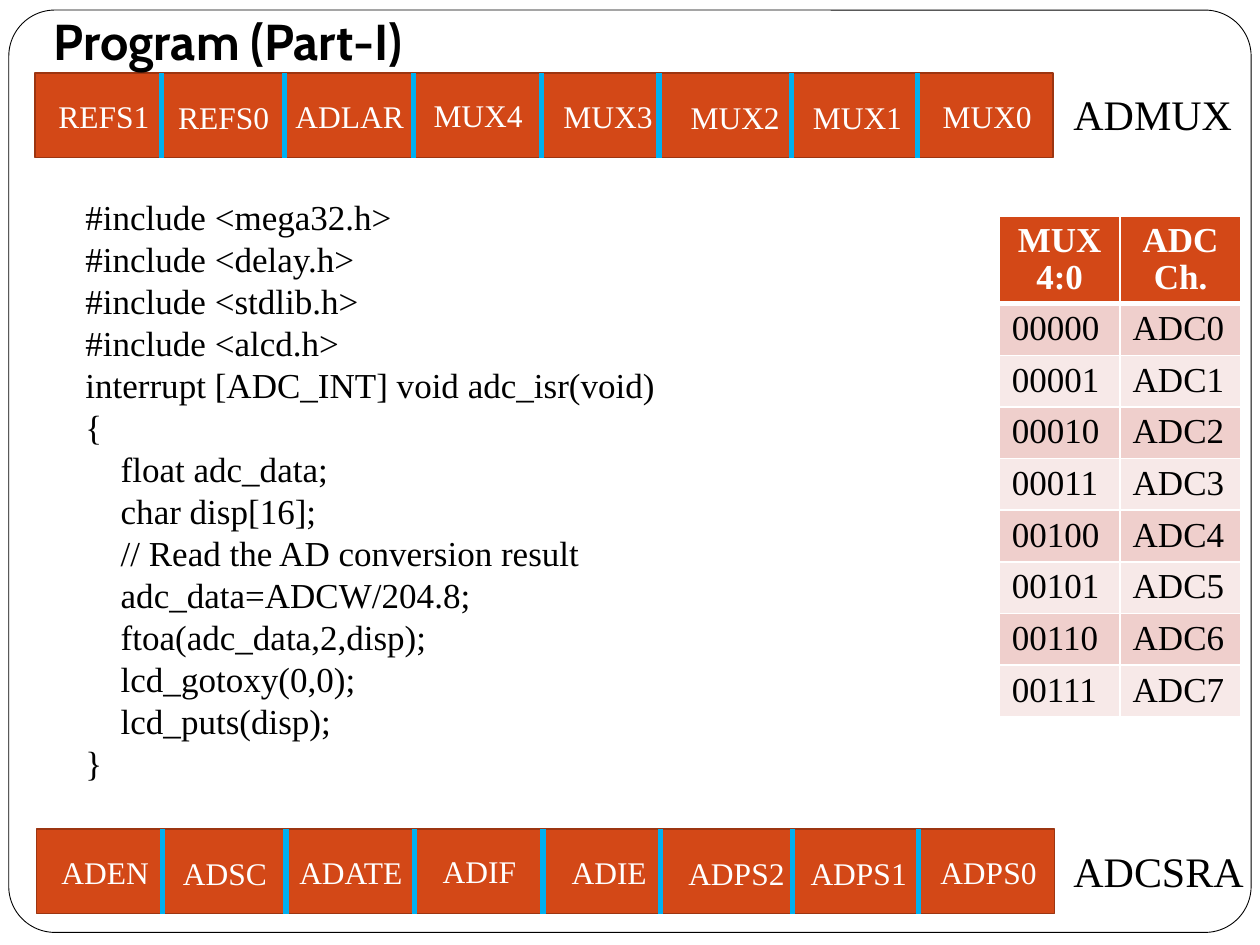
"""Builds the ADC program slide with its two register maps and channel table."""
from lxml import etree
from pptx import Presentation
from pptx.dml.color import RGBColor
from pptx.enum.shapes import MSO_CONNECTOR, MSO_SHAPE
from pptx.enum.text import MSO_ANCHOR, PP_ALIGN
from pptx.oxml import parse_xml
from pptx.oxml.ns import nsdecls, qn
from pptx.util import Inches, Pt

LEFT, CENTER = PP_ALIGN.LEFT, PP_ALIGN.CENTER
TOP, MIDDLE, BOTTOM = MSO_ANCHOR.TOP, MSO_ANCHOR.MIDDLE, MSO_ANCHOR.BOTTOM
RECT, ROUND = MSO_SHAPE.RECTANGLE, MSO_SHAPE.ROUNDED_RECTANGLE
STRAIGHT = MSO_CONNECTOR.STRAIGHT

THEME = {
    "white": RGBColor.from_string("FFFFFF"),
    "black": RGBColor.from_string("000000"),
    "bar": RGBColor.from_string("D34817"),
    "edge": RGBColor.from_string("9C3511"),
    "split": RGBColor.from_string("00B0F0"),
    "bands": [RGBColor.from_string("F7E9E8"), RGBColor.from_string("EFCFCC")],
    "serif": "Times New Roman",
    "sans": "Cabin",
    "title": 28.8, "name": 24, "body": 20, "bit": 18,
}


def write(para, text, size, color, align=LEFT, font=THEME["serif"], bold=False):
    para.alignment = align
    run = para.add_run()
    run.text = text
    run.font.name = font
    run.font.size = Pt(size)
    run.font.bold = bold
    run.font.color.rgb = color


def add_box(host, left, top, width, height, anchor=TOP):
    frame = host.add_textbox(Inches(left), Inches(top), Inches(width), Inches(height)).text_frame
    frame.word_wrap = True
    frame.vertical_anchor = anchor
    return frame


prs = Presentation()
prs.slide_width, prs.slide_height = Inches(10), Inches(7.5)
slide = prs.slides.add_slide(prs.slide_layouts[6])
shapes = slide.shapes

panel = shapes.add_shape(ROUND, Inches(0.07), Inches(0.08), Inches(9.86), Inches(7.32))
panel.adjustments[0] = 0.05
panel.shadow.inherit = False
panel.fill.solid()
panel.fill.fore_color.rgb = THEME["white"]
panel.line.color.rgb = THEME["black"]
panel.line.width = Pt(0.5)

rows = [("MUX 4:0", "ADC Ch.")] + [(f"{n:05b}", f"ADC{n}") for n in range(8)]
table = shapes.add_table(len(rows), 2, Inches(7.93), Inches(1.72), Inches(1.92), Inches(3.97)).table
for col in table.columns:
    col.width = Inches(0.96)
for r, row in enumerate(rows):
    head = r == 0
    table.rows[r].height = Inches(0.69 if head else 0.41)
    for c, text in enumerate(row):
        cell = table.cell(r, c)
        cell.margin_top = cell.margin_bottom = Inches(0.04)
        cell.vertical_anchor = MIDDLE
        para = cell.text_frame.paragraphs[0]
        para.line_spacing = 0.95
        write(para, text, THEME["body"], THEME["white" if head else "black"],
              CENTER if head else LEFT, bold=head)
        for side in "LRTB":
            thick = (head and side == "B") or (r == 1 and side == "T")
            cell._tc.get_or_add_tcPr().append(parse_xml(
                f'<a:ln{side} {nsdecls("a")} w="{Pt(3 if thick else 1)}"><a:solidFill>'
                f'<a:srgbClr val="{THEME["white"]}"/></a:solidFill></a:ln{side}>'))
        cell.fill.solid()
        cell.fill.fore_color.rgb = THEME["bar"] if head else THEME["bands"][r % 2]

splits = [1.28, 2.26, 3.28, 4.3, 5.23, 6.28, 7.28]
spots = [(0.24, 0.72), (1.19, 0.73), (2.19, 0.72), (3.21, 0.71),
         (4.24, 0.72), (5.25, 0.73), (6.22, 0.73), (7.25, 0.72)]
banks = [
    ("ADMUX", shapes, 0, 0, 0.65,
     ["REFS1", "REFS0", "ADLAR", "MUX4", "MUX3", "MUX2", "MUX1", "MUX0"]),
    ("ADCSRA", shapes.add_group_shape().shapes, 0.01, 6, 6.66,
     ["ADEN", "ADSC", "ADATE", "ADIF", "ADIE", "ADPS2", "ADPS1", "ADPS0"]),
]
for name, host, dx, dy, level, bits in banks:
    bar = host.add_shape(RECT, Inches(0.28 + dx), Inches(0.58 + dy), Inches(8.08), Inches(0.67))
    bar.shadow.inherit = False
    bar.fill.solid()
    bar.fill.fore_color.rgb = THEME["bar"]
    bar.line.color.rgb = THEME["edge"]
    bar.line.width = Pt(1)
    for x in splits:
        line = host.add_connector(STRAIGHT, Inches(x + dx), Inches(0.58 + dy),
                                  Inches(x + dx), Inches(1.25 + dy))
        line.line.color.rgb = THEME["split"]
        line.line.width = Pt(3)
        etree.SubElement(line._element.spPr, qn("a:effectLst"))
    for (x, y), bit in zip(spots, bits):
        frame = add_box(host, x + dx, y + dy, 1.17, 0.4)
        write(frame.paragraphs[0], bit, THEME["bit"], THEME["white"], CENTER)
    frame = add_box(host, 8.42, level, 1.58, 0.5)
    write(frame.paragraphs[0], name, THEME["name"], THEME["black"])

code = [
    (0, "#include <mega32.h>"),
    (0, "#include <delay.h>"),
    (0, "#include <stdlib.h>"),
    (0, "#include <alcd.h>"),
    (0, "interrupt [ADC_INT] void adc_isr(void)"),
    (0, "{"),
    (1, "float adc_data;"),
    (1, "char disp[16];"),
    (1, "// Read the AD conversion result"),
    (1, "adc_data=ADCW/204.8;"),
    (1, "ftoa(adc_data,2,disp);"),
    (1, "lcd_gotoxy(0,0);"),
    (1, "lcd_puts(disp);"),
    (0, "}"),
]
frame = add_box(shapes, 0.58, 1.5, 7.33, 5)
for n, (depth, text) in enumerate(code):
    para = frame.add_paragraph() if n else frame.paragraphs[0]
    para.line_spacing = Pt(24)
    para._p.get_or_add_pPr().set("marL", str(Inches(0.28 * depth)))
    write(para, text, THEME["body"], THEME["black"])

frame = add_box(shapes, 0.33, 0.08, 8.5, 0.58, BOTTOM)
frame.margin_bottom = Inches(0.1)
write(frame.paragraphs[0], "Program (Part-I)", THEME["title"], THEME["black"],
      font=THEME["sans"], bold=True)

prs.save("out.pptx")
